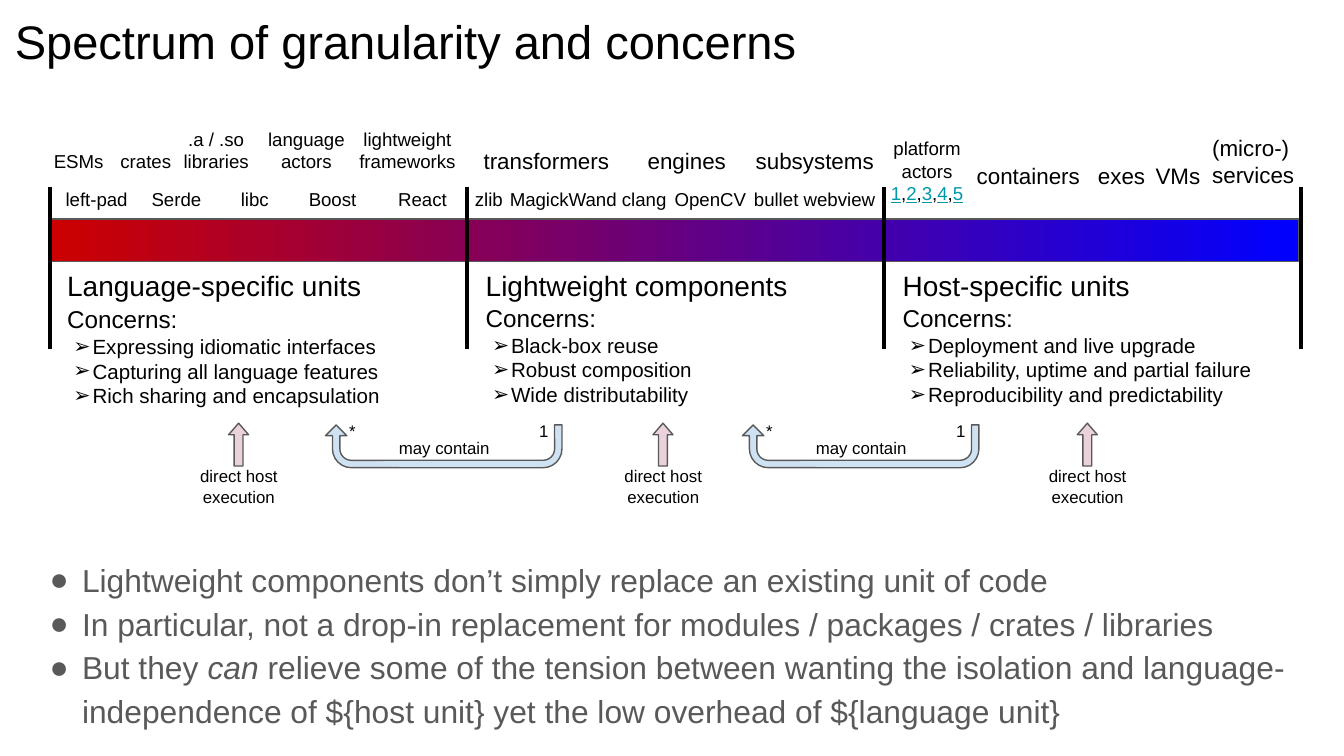
import pptx
import pptx.util
import pptx.dml.color
import pptx.enum.shapes
import pptx.enum.text
import pptx.oxml.ns
import lxml.etree

Cm = pptx.util.Cm
Pt = pptx.util.Pt
MSO_SHAPE = pptx.enum.shapes.MSO_SHAPE
LEFT = pptx.enum.text.PP_ALIGN.LEFT
CENTER = pptx.enum.text.PP_ALIGN.CENTER
TOP = pptx.enum.text.MSO_ANCHOR.TOP
MIDDLE = pptx.enum.text.MSO_ANCHOR.MIDDLE

COLORS = {
    "text": "000000",
    "muted": "595959",
    "link": "0097A7",
    "language": "CC0000",
    "host": "0000FF",
    "contain": "CFE2F3",
    "execute": "EAD1DC",
}


class SlideBuilder:
    font = "Arial"
    inset = Cm(0.25)

    def __init__(self, slide):
        self.slide = slide

    def rgb(self, color):
        return pptx.dml.color.RGBColor.from_string(COLORS[color])

    def format_runs(self, paragraph, size, color="text"):
        for run in paragraph.runs:
            run.font.name = self.font
            run.font.size = Pt(size)
            run.font.color.rgb = self.rgb(color)

    def prepare_frame(self, frame, anchor=TOP):
        frame.word_wrap = True
        frame.auto_size = pptx.enum.text.MSO_AUTO_SIZE.NONE
        frame.vertical_anchor = anchor
        frame.margin_left = frame.margin_right = self.inset
        frame.margin_top = frame.margin_bottom = self.inset

    def place(self, shape, left, top, width, height):
        shape.left, shape.top = Cm(left), Cm(top)
        shape.width, shape.height = Cm(width), Cm(height)

    def bullet(self, paragraph, character, color, margin, hanging):
        properties = paragraph._p.get_or_add_pPr()
        properties.set("marL", str(Cm(margin)))
        properties.set("indent", str(-Cm(hanging)))
        qn = pptx.oxml.ns.qn
        bullet_color = lxml.etree.SubElement(properties, qn("a:buClr"))
        lxml.etree.SubElement(bullet_color, qn("a:srgbClr"), val=COLORS[color])
        lxml.etree.SubElement(properties, qn("a:buFont"), typeface=self.font)
        lxml.etree.SubElement(properties, qn("a:buChar"), char=character)

    def title(self, text, *box):
        shape = self.slide.shapes.title
        self.place(shape, *box)
        self.prepare_frame(shape.text_frame, MIDDLE)
        shape.text_frame.text = text
        paragraph = shape.text_frame.paragraphs[0]
        paragraph.alignment = LEFT
        self.format_runs(paragraph, 25.2)

    def body(self, items, *box):
        shape = self.slide.placeholders[1]
        self.place(shape, *box)
        frame = shape.text_frame
        self.prepare_frame(frame)
        frame.text = "\n".join("".join(parts) for parts in items)
        for paragraph, parts in zip(frame.paragraphs, items):
            paragraph.text = ""
            for index, part in enumerate(parts):
                run = paragraph.add_run()
                run.text = part
                run.font.italic = index == 1
            paragraph.line_spacing = 1.15
            paragraph.space_before = Pt(0)
            self.format_runs(paragraph, 17, "muted")
            self.bullet(paragraph, "●", "muted", 0.64, 0.61)

    def label(self, text, left, top, width, height, size, alignment=LEFT):
        shape = self.slide.shapes.add_textbox(Cm(left), Cm(top), Cm(width), Cm(height))
        self.prepare_frame(shape.text_frame)
        shape.text_frame.text = text
        paragraph = shape.text_frame.paragraphs[0]
        paragraph.alignment = alignment
        self.format_runs(paragraph, size)
        return paragraph

    def linked_label(self, text, references, *box):
        paragraph = self.label(text, *box, 10, CENTER)
        for character in references:
            paragraph.add_run().text = character
        self.format_runs(paragraph, 10)
        for run in paragraph.runs:
            if run.text.isdigit():
                run.font.underline = True
                run.font.color.rgb = self.rgb("link")

    def concerns(self, items, left, top, width, height):
        shape = self.slide.shapes.add_textbox(Cm(left), Cm(top), Cm(width), Cm(height))
        frame = shape.text_frame
        self.prepare_frame(frame)
        frame.text = "\n".join(["Concerns:", *items])
        self.format_runs(frame.paragraphs[0], 13)
        for paragraph in frame.paragraphs[1:]:
            self.format_runs(paragraph, 11)
            self.bullet(paragraph, "➢", "text", 0.48, 0.36)

    def shape(self, kind, left, top, width, height, fill=None, adjustments=()):
        shape = self.slide.shapes.add_shape(kind, Cm(left), Cm(top), Cm(width), Cm(height))
        shape.shadow.inherit = False
        shape.line.color.rgb = self.rgb("muted")
        shape.line.width = Pt(0.75)
        for index, value in enumerate(adjustments):
            shape.adjustments[index] = value
        if fill:
            shape.fill.solid()
            shape.fill.fore_color.rgb = self.rgb(fill)
        return shape

    def spectrum(self, *box):
        bar = self.shape(MSO_SHAPE.RECTANGLE, *box)
        bar.fill.gradient()
        bar.fill.gradient_angle = 0
        for stop, color in zip(bar.fill.gradient_stops, ("language", "host")):
            stop.color.rgb = self.rgb(color)

    def divider(self, x, top, bottom):
        line = self.slide.shapes.add_connector(
            pptx.enum.shapes.MSO_CONNECTOR.STRAIGHT, Cm(x), Cm(top), Cm(x), Cm(bottom))
        line.line.color.rgb = self.rgb("text")
        line.line.width = Pt(2.25)
        lxml.etree.SubElement(line._element.spPr, pptx.oxml.ns.qn("a:effectLst"))

    def containment(self, left):
        arrow = self.shape(MSO_SHAPE.U_TURN_ARROW, left, 8.03, 4.47, 0.81,
                           "contain", (0.173, 0.25, 0.25, 0.438, 0.998))
        arrow.rotation = 180
        self.label("may contain", left + 0.86, 8.03, 2.77, 0.89, 9, CENTER)
        self.label("1", left + 3.79, 7.7, 0.71, 0.89, 9)
        self.label("*", left + 0.2, 7.7, 0.71, 0.89, 9)

    def execution(self, left):
        self.shape(MSO_SHAPE.UP_ARROW, left, 8, 0.38, 0.81, "execute", (0.439, 0.578))
        self.label("direct host execution", left - 1.19, 8.56, 2.77, 1.27, 9, CENTER)


COLUMNS = [
    ("Language-specific units", 1.02, 7.87, 5.51,
     ["Expressing idiomatic interfaces", "Capturing all language features",
      "Rich sharing and encapsulation"]),
    ("Lightweight components", 8.93, 7.62, 5.49,
     ["Black-box reuse", "Robust composition", "Wide distributability"]),
    ("Host-specific units", 16.81, 8.36, 5.49,
     ["Deployment and live upgrade", "Reliability, uptime and partial failure",
      "Reproducibility and predictability"]),
]

LABEL_ROWS = [
    (2.16, 1.37, 10, CENTER, [(".a / .so libraries", 2.74, 2.69),
                              ("language actors", 4.7, 2.18),
                              ("lightweight frameworks", 6.43, 2.54)]),
    (2.59, 0.94, 10, CENTER, [("ESMs", 0.61, 1.75), ("crates", 1.88, 1.75)]),
    (3.3, 0.94, 10, CENTER, [("Serde", 2.46, 1.75), ("libc", 3.94, 1.75),
                             ("Boost", 5.41, 1.75), ("React", 7.11, 1.75),
                             ("zlib", 8.48, 1.52), ("MagickWand", 9.35, 2.59),
                             ("clang", 11.35, 1.65)]),
    (3.3, 0.94, 10, LEFT, [("left-pad", 0.99, 1.75), ("OpenCV", 12.5, 1.91),
                           ("bullet", 14, 1.91), ("webview", 14.94, 1.91)]),
    (2.54, 1.02, 12, LEFT, [("transformers", 8.89, 2.92), ("engines", 11.99, 2.69)]),
    (2.54, 1.02, 12, CENTER, [("subsystems", 13.94, 2.92)]),
    (2.81, 1.02, 12, LEFT, [("containers", 18.21, 2.59), ("exes", 20.5, 1.65),
                            ("VMs", 21.59, 1.45)]),
    (2.29, 1.55, 12, LEFT, [("(micro-) services", 22.66, 2.15)]),
]


def main():
    presentation = pptx.Presentation()
    presentation.slide_width = Cm(25.4)
    presentation.slide_height = Cm(14.29)
    builder = SlideBuilder(presentation.slides.add_slide(presentation.slide_layouts[1]))

    builder.title("Spectrum of granularity and concerns", 0.03, -0.03, 16.84, 1.6)
    builder.spectrum(0.97, 4.14, 23.57, 0.81)
    for index in range(4):
        builder.divider(0.94 + 7.88 * index, 3.53, 6.6)
    for heading, left, width, top, items in COLUMNS:
        builder.label(heading, left, 4.83, width, 1.14, 15)
        builder.concerns(items, left, top, width, 2.49)
    for top, height, size, alignment, labels in LABEL_ROWS:
        for text, left, width in labels:
            builder.label(text, left, top, width, height, size, alignment)
    builder.linked_label("platform actors ", "1,2,3,4,5", 16.48, 2.34, 2.08, 1.8)
    for index in range(2):
        builder.containment(6.15 + 7.88 * index)
    for index in range(3):
        builder.execution(4.32 + 8.02 * index)
    builder.body([
        ["Lightweight components don’t simply replace an existing unit of code"],
        ["In particular, not a drop-in replacement for modules / packages / crates / libraries"],
        ["But they ", "can", " relieve some of the tension between wanting the isolation and "
         "language-independence of ${host unit} yet the low overhead of ${language unit}"],
    ], 0.66, 10.24, 24.74, 4.17)
    presentation.save("out.pptx")


if __name__ == "__main__":
    main()
